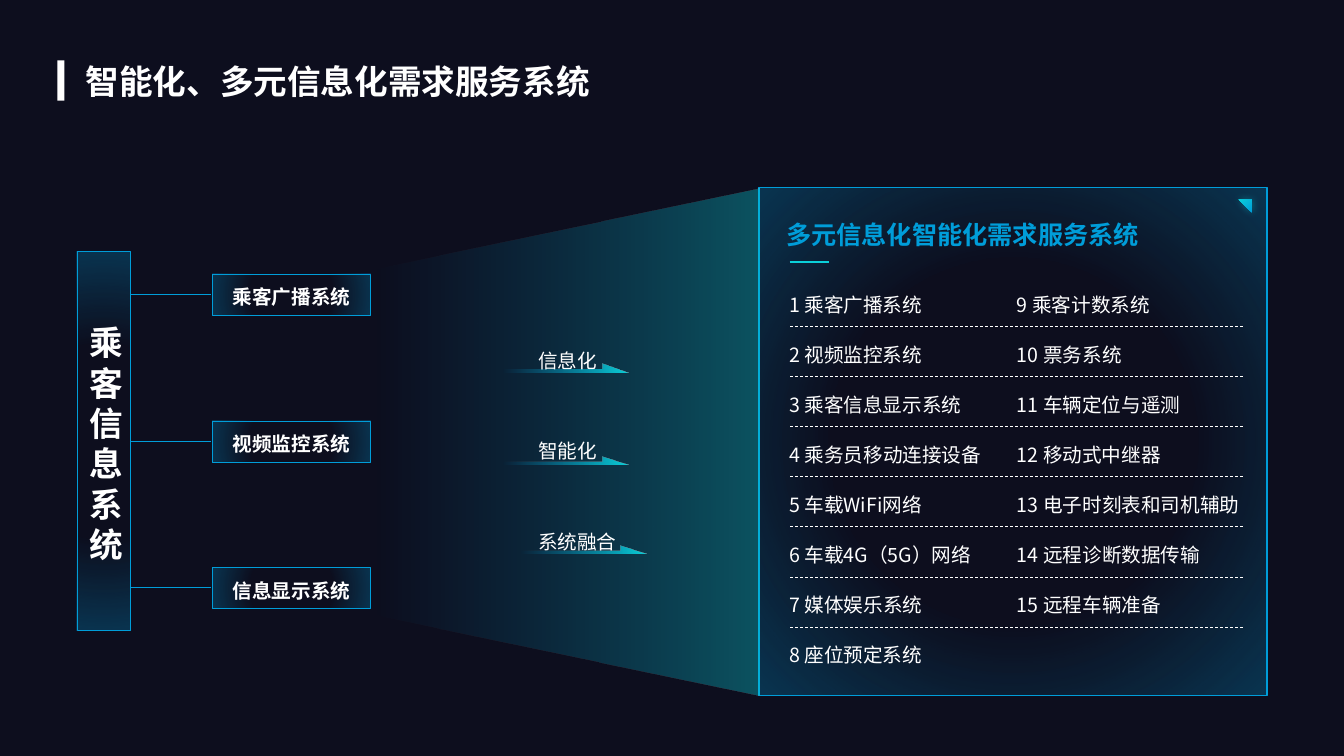
"""Build the slide on the smart passenger service system."""
from dataclasses import dataclass

from lxml import etree
from pptx import Presentation
from pptx.dml.color import RGBColor
from pptx.enum.dml import MSO_LINE_DASH_STYLE as Dash
from pptx.enum.shapes import MSO_CONNECTOR as Conn, MSO_SHAPE as Geom
from pptx.enum.text import MSO_ANCHOR as Anchor, MSO_AUTO_SIZE as Auto, PP_ALIGN as Align
from pptx.oxml.ns import nsdecls, qn
from pptx.oxml import parse_xml
from pptx.shapes.base import BaseShape
from pptx.slide import Slide
from pptx.text.text import TextFrame
from pptx.util import Pt

FONT = "Noto Sans CJK SC"
WHITE, BLUE, TEAL = "FFFFFF", "009DD9", "0BD0D9"


@dataclass(frozen=True)
class Box:
    left: float
    top: float
    width: float
    height: float

    def emu(self) -> tuple:
        return Pt(self.left), Pt(self.top), Pt(self.width), Pt(self.height)


@dataclass(frozen=True)
class Style:
    size: float
    lead: float
    color: str = WHITE
    bold: bool = False
    align: Align = Align.LEFT
    anchor: Anchor = Anchor.TOP
    inset: tuple = (5, 2.8)


@dataclass(frozen=True)
class Stop:
    pos: int
    color: str
    alpha: int = 100


@dataclass(frozen=True)
class Item:
    text: str
    width: float


@dataclass(frozen=True)
class Arrow:
    text: str
    width: float
    left: float
    top: float


TITLE = Style(24, 32, bold=True, inset=(0, 0))
HEAD = Style(18, 23, BLUE, True, inset=(7.2, 3.6))
LIST = Style(14, 20)
BUTTON = Style(14, 20, bold=True, align=Align.CENTER, anchor=Anchor.MIDDLE)
COLUMN = Style(24, 28.8, bold=True, align=Align.CENTER, anchor=Anchor.MIDDLE, inset=(0, 0))
LABEL = Style(14, 26, inset=(7.2, 3.6))

HALO = (Stop(51, BLUE, 0), Stop(98, BLUE, 26))
ROUND = ('<a:path path="circle"><a:fillToRect l="50000" t="50000" '
         'r="50000" b="50000"/></a:path>')

COLUMNS = (
    (558.7, (Item("1 乘客广播系统", 130), Item("2 视频监控系统", 138),
             Item("3 乘客信息显示系统", 161), Item("4 乘务员移动连接设备", 182),
             Item("5 车载WiFi网络", 117), Item("6 车载4G（5G）网络", 168),
             Item("7 媒体娱乐系统", 134), Item("8 座位预定系统", 130))),
    (721.4, (Item("9 乘客计数系统", 130), Item("10 票务系统", 95),
             Item("11 车辆定位与遥测", 153), Item("12 移动式中继器", 138),
             Item("13 电子时刻表和司机辅助", 182), Item("14 远程诊断数据传输", 182),
             Item("15 远程车辆准备", 148))),
)
BUTTONS = ("乘客广播系统", "视频监控系统", "信息显示系统")
ARROWS = (Arrow("信息化", 67, 358.6, 259.9), Arrow("智能化", 64, 358.6, 326.2),
          Arrow("系统融合", 81, 371.5, 389.5))
DART = ((71.3, 0), (91.2, 5.8), (0, 5.8), (0, 3.6), (71.3, 3.6))


def tint(code: str) -> RGBColor:
    return RGBColor.from_string(code)


def write(frame: TextFrame, text: str, style: Style) -> None:
    frame.word_wrap = True
    frame.auto_size = Auto.NONE
    frame.vertical_anchor = style.anchor
    frame.margin_left = frame.margin_right = Pt(style.inset[0])
    frame.margin_top = frame.margin_bottom = Pt(style.inset[1])
    for i, line in enumerate(text.split("\n")):
        para = frame.add_paragraph() if i else frame.paragraphs[0]
        para.alignment = style.align
        para.line_spacing = Pt(style.lead)
        para.space_before = Pt(0)
        run = para.add_run()
        run.text = line
        font = run.font
        font.size, font.bold, font.name = Pt(style.size), style.bold, FONT
        font.color.rgb = tint(style.color)
        etree.SubElement(run._r.get_or_add_rPr(), qn("a:ea"), typeface=FONT)


def add_text(slide: Slide, box: Box, text: str, style: Style) -> None:
    write(slide.shapes.add_textbox(*box.emu()).text_frame, text, style)


def blend(shape: BaseShape, stops: tuple, mode: str) -> None:
    shape.fill.background()
    marks = "".join(
        f'<a:gs pos="{s.pos * 1000}"><a:srgbClr val="{s.color}">'
        f'<a:alpha val="{s.alpha * 1000}"/></a:srgbClr></a:gs>' for s in stops)
    grad = parse_xml(f'<a:gradFill {nsdecls("a")} rotWithShape="1">'
                     f'<a:gsLst>{marks}</a:gsLst>{mode}</a:gradFill>')
    props = shape._element.spPr
    props.replace(props.find(qn("a:noFill")), grad)


def angle(deg: int) -> str:
    return f'<a:lin ang="{deg * 60000}" scaled="0"/>'


def add_form(slide: Slide, geom: Geom, box: Box) -> BaseShape:
    shape = slide.shapes.add_shape(geom, *box.emu())
    shape.shadow.inherit = False
    shape.line.fill.background()
    return shape


def add_panel(slide: Slide, box: Box, edge: float) -> BaseShape:
    panel = add_form(slide, Geom.RECTANGLE, box)
    blend(panel, HALO, ROUND)
    panel.line.color.rgb = tint(BLUE)
    panel.line.width = Pt(edge)
    return panel


def add_rule(slide: Slide, left: float, right: float, top: float,
             color: str, width: float = 0.5, dash: bool = False) -> None:
    rule = slide.shapes.add_connector(Conn.STRAIGHT, Pt(left), Pt(top), Pt(right), Pt(top))
    rule.line.color.rgb = tint(color)
    rule.line.width = Pt(width)
    if dash:
        rule.line.dash_style = Dash.DASH
    etree.SubElement(rule._element.spPr, qn("a:effectLst"))


def add_dart(slide: Slide, arrow: Arrow) -> None:
    points = [(Pt(arrow.left + x), Pt(arrow.top + y)) for x, y in DART]
    build = slide.shapes.build_freeform(*points[0], scale=1.0)
    build.add_line_segments(points[1:], close=True)
    dart = build.convert_to_shape()
    dart.shadow.inherit = False
    dart.line.fill.background()
    blend(dart, (Stop(0, BLUE, 0), Stop(100, TEAL)), angle(0))


def add_corner(slide: Slide) -> None:
    corner = add_form(slide, Geom.RIGHT_TRIANGLE, Box(884.9, 142.6, 9.4, 9.4))
    frame = corner._element.spPr.find(qn("a:xfrm"))
    frame.set("flipH", "1")
    frame.set("flipV", "1")
    blend(corner, (Stop(0, BLUE), Stop(100, TEAL)), angle(45))
    glow = etree.SubElement(corner._element.spPr.find(qn("a:effectLst")),
                            qn("a:outerShdw"), blurRad=str(Pt(6)), dist="0", dir="0")
    color = etree.SubElement(glow, qn("a:srgbClr"), val=TEAL)
    etree.SubElement(color, qn("a:alpha"), val="44000")


def main() -> None:
    deck = Presentation()
    deck.slide_width, deck.slide_height = Pt(960), Pt(540)
    slide = deck.slides.add_slide(deck.slide_layouts[5])
    slide.background.fill.solid()
    slide.background.fill.fore_color.rgb = tint("0D0E1E")

    title = slide.shapes.title
    title.left, title.top, title.width, title.height = Box(61.2, 40.3, 409, 28.8).emu()
    write(title.text_frame, "智能化、多元信息化需求服务系统", TITLE)
    bar = add_form(slide, Geom.RECTANGLE, Box(41, 43.2, 5, 28.8))
    bar.fill.solid()
    bar.fill.fore_color.rgb = tint(WHITE)

    add_panel(slide, Box(542.2, 133.9, 362.9, 362.9), 1)
    for left, items in COLUMNS:
        for row, item in enumerate(items):
            add_text(slide, Box(left, 203 + 35.7 * row, item.width, 23.8), item.text, LIST)
    for row in range(7):
        add_rule(slide, 564.5, 887.8, 233.1 + 35.8 * row, WHITE, dash=True)
    add_text(slide, Box(554.4, 151.9, 278.6, 28.8), "多元信息化智能化需求服务系统", HEAD)
    add_rule(slide, 564, 592, 187.2, TEAL, 1.5)
    add_corner(slide)

    for row, name in enumerate(BUTTONS):
        button = add_panel(slide, Box(151.9, 195.8 + 104.8 * row, 113, 29.5), 0.5)
        write(button.text_frame, name, BUTTON)
        add_rule(slide, 93.6, 150.5, 210.2 + 104.8 * row, BLUE)
    add_panel(slide, Box(-61.2, 296, 270.7, 38.2), 0.5).rotation = 90
    add_text(slide, Box(62.6, 228.3, 26.6, 176.4), "\n".join("乘客信息系统"), COLUMN)

    beam = add_form(slide, Geom.TRAPEZOID, Box(222.5, 177.1, 362.2, 277.2))
    beam.adjustments[0] = 0.21
    beam.rotation = 270
    blend(beam, (Stop(0, BLUE, 0), Stop(100, TEAL, 36)), angle(90))
    for row, arrow in enumerate(ARROWS):
        add_text(slide, Box(377.3, 236.2 + 64.8 * row, arrow.width, 29.5), arrow.text, LABEL)
        add_dart(slide, arrow)
    deck.save("out.pptx")


if __name__ == "__main__":
    main()
